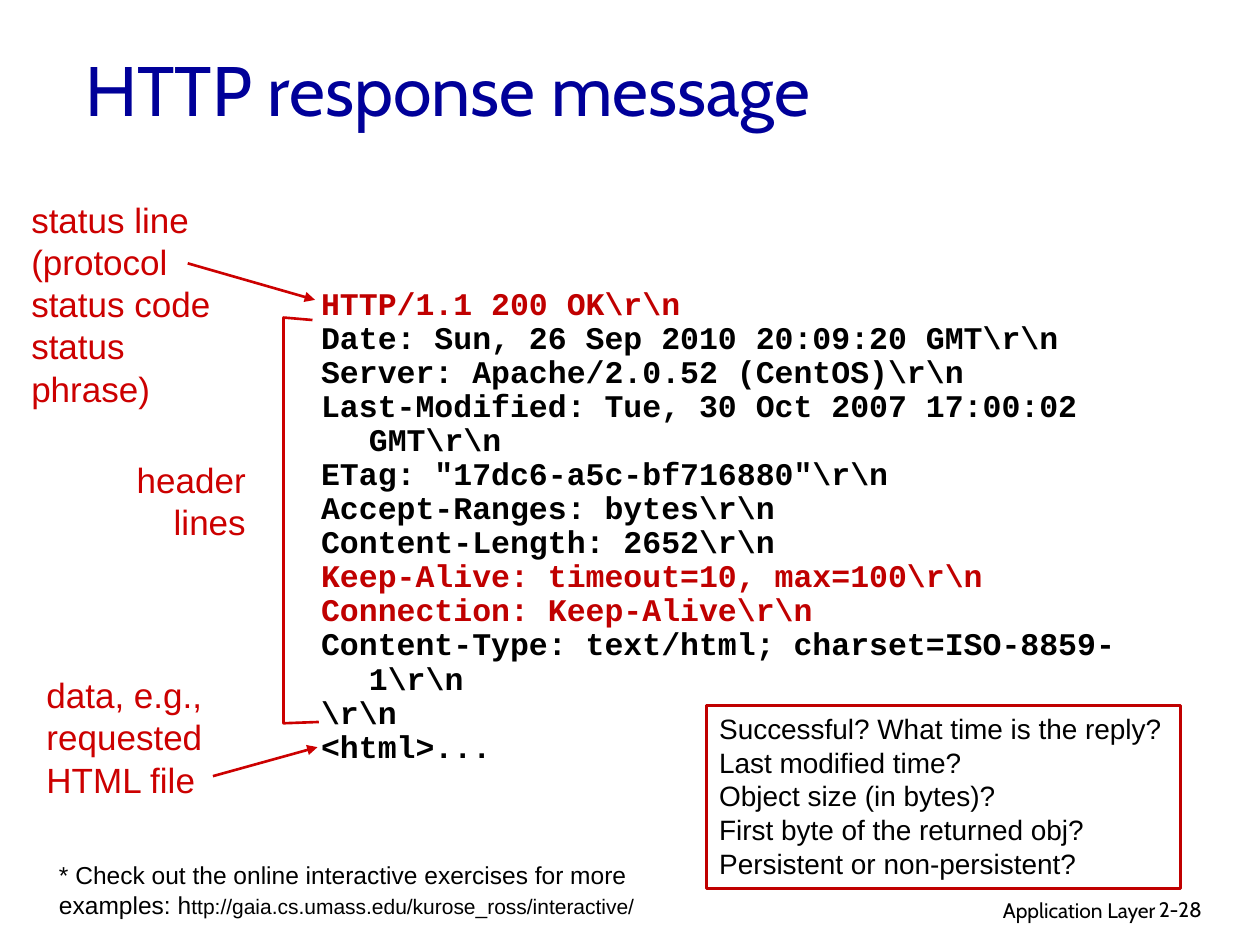
import pptx
import pptx.dml.color
import pptx.enum.shapes
import pptx.enum.text
import pptx.oxml
import pptx.oxml.ns
import pptx.util
from pptx.util import Inches

ALIGN = pptx.enum.text.PP_ALIGN
ANCHOR = pptx.enum.text.MSO_ANCHOR
BLACK, NAVY, RED, DARK_RED = "000000", "000099", "CC0000", "C00000"


def color(value):
    return pptx.dml.color.RGBColor.from_string(value)


def add_text(paragraph, text, font="Arial", size=20, ink=BLACK, bold=False):
    run = paragraph.add_run()
    run.text = text
    run.font.name = font
    run.font.size = pptx.util.Pt(size)
    run.font.color.rgb = color(ink)
    run.font.bold = bold


class SlideBuilder:
    line_width = 1.5

    def __init__(self, slide):
        self.slide = slide

    def fill_text(self, shape, lines, align=ALIGN.LEFT, anchor=ANCHOR.TOP,
                  wrap=True, hanging=0, spacing=None, **style):
        """Each line is a list of (text, format overrides) runs."""
        frame = shape.text_frame
        frame.word_wrap = wrap
        frame.vertical_anchor = anchor
        for index, runs in enumerate(lines):
            paragraph = frame.add_paragraph() if index else frame.paragraphs[0]
            paragraph.alignment = align
            if spacing:
                paragraph.line_spacing = spacing
            if hanging:
                properties = paragraph._p.get_or_add_pPr()
                properties.set("marL", str(Inches(hanging)))
                properties.set("indent", str(-Inches(hanging)))
            for text, overrides in runs:
                add_text(paragraph, text, **{**style, **overrides})

    def text(self, left, top, width, height, lines, **style):
        box = self.slide.shapes.add_textbox(
            Inches(left), Inches(top), Inches(width), Inches(height))
        self.fill_text(box, lines, **style)

    def outline(self, shape, ink):
        shape.line.color.rgb = color(ink)
        shape.line.width = pptx.util.Pt(self.line_width)

    def box(self, left, top, width, height, lines, ink, **style):
        shape = self.slide.shapes.add_shape(
            pptx.enum.shapes.MSO_SHAPE.RECTANGLE,
            Inches(left), Inches(top), Inches(width), Inches(height))
        shape.shadow.inherit = False
        shape.fill.background()
        self.outline(shape, ink)
        self.fill_text(shape, lines, **style)

    def arrow(self, start, end, ink):
        connector = self.slide.shapes.add_connector(
            pptx.enum.shapes.MSO_CONNECTOR.STRAIGHT,
            *(Inches(value) for value in start + end))
        self.outline(connector, ink)
        connector.line._get_or_add_ln().append(pptx.oxml.parse_xml(
            '<a:tailEnd %s type="triangle"/>' % pptx.oxml.ns.nsdecls("a")))
        connector._element.spPr.append(pptx.oxml.parse_xml(
            "<a:effectLst %s/>" % pptx.oxml.ns.nsdecls("a")))

    def bracket(self, points, ink):
        corners = [(Inches(x), Inches(y)) for x, y in points]
        builder = self.slide.shapes.build_freeform(*corners[0])
        builder.add_line_segments(corners[1:], close=False)
        shape = builder.convert_to_shape()
        shape.shadow.inherit = False
        shape.fill.background()
        self.outline(shape, ink)


def plain(*lines, **overrides):
    return [[(line, overrides)] for line in lines]


def main():
    presentation = pptx.Presentation()
    presentation.slide_width = Inches(10)
    presentation.slide_height = Inches(7.5)
    builder = SlideBuilder(
        presentation.slides.add_slide(presentation.slide_layouts[6]))

    # Footer and title
    builder.text(6.1, 7.07, 3.17, 0.31, plain("Application Layer"),
                 align=ALIGN.RIGHT, font="Cabin", size=12)
    builder.text(9.1, 7.07, 0.74, 0.3, plain("2-28"), font="Cabin", size=12)
    builder.text(0.58, 0.17, 8.5, 1.07, plain("HTTP response message"),
                 anchor=ANCHOR.MIDDLE, font="Cabin", size=40, ink=NAVY)

    # Labels for the parts of the message
    builder.text(0.15, 1.53, 1.9, 1.43,
                 plain("status line", "(protocol", "status code",
                       "status phrase)"), ink=RED)
    builder.arrow((1.49, 2.09), (2.5, 2.38), RED)
    builder.bracket([(2.48, 2.54), (2.25, 2.52), (2.25, 5.74), (2.53, 5.73)],
                    RED)
    builder.text(0.98, 3.59, 1.07, 0.77, plain("header", "lines"),
                 align=ALIGN.RIGHT, wrap=False, ink=RED)
    builder.arrow((1.69, 6.16), (2.52, 5.93), RED)
    builder.text(0.27, 5.3, 1.51, 1.1,
                 plain("data, e.g.,", "requested", "HTML file"),
                 wrap=False, ink=RED)

    # Response message
    message = (
        plain(r"HTTP/1.1 200 OK\r\n", ink=DARK_RED)
        + plain(r"Date: Sun, 26 Sep 2010 20:09:20 GMT\r\n",
                r"Server: Apache/2.0.52 (CentOS)\r\n",
                r"Last-Modified: Tue, 30 Oct 2007 17:00:02 GMT\r\n",
                r'ETag: "17dc6-a5c-bf716880"\r\n',
                r"Accept-Ranges: bytes\r\n",
                r"Content-Length: 2652\r\n")
        + plain(r"Keep-Alive: timeout=10, max=100\r\n",
                r"Connection: Keep-Alive\r\n", ink=DARK_RED)
        + plain(r"Content-Type: text/html; charset=ISO-8859-1\r\n",
                r"\r\n", "<html>..."))
    builder.text(2.45, 2.24, 6.9, 3.89, message, hanging=0.38, spacing=0.9,
                 font="Courier New", size=18, bold=True)

    # Exercise note and questions
    builder.text(0.37, 6.78, 4.93, 0.57, [[
        ("* Check out the online interactive exercises for more examples: h",
         {"size": 14}),
        ("ttp://gaia.cs.umass.edu/kurose_ross/interactive/", {"size": 12})]])
    builder.box(5.61, 5.6, 3.76, 1.45,
                plain("Successful? What time is the reply?",
                      "Last modified time?", "Object size (in bytes)?",
                      "First byte of the returned obj?",
                      "Persistent or non-persistent?"),
                DARK_RED, wrap=False, size=16)

    presentation.save("out.pptx")


if __name__ == "__main__":
    main()
